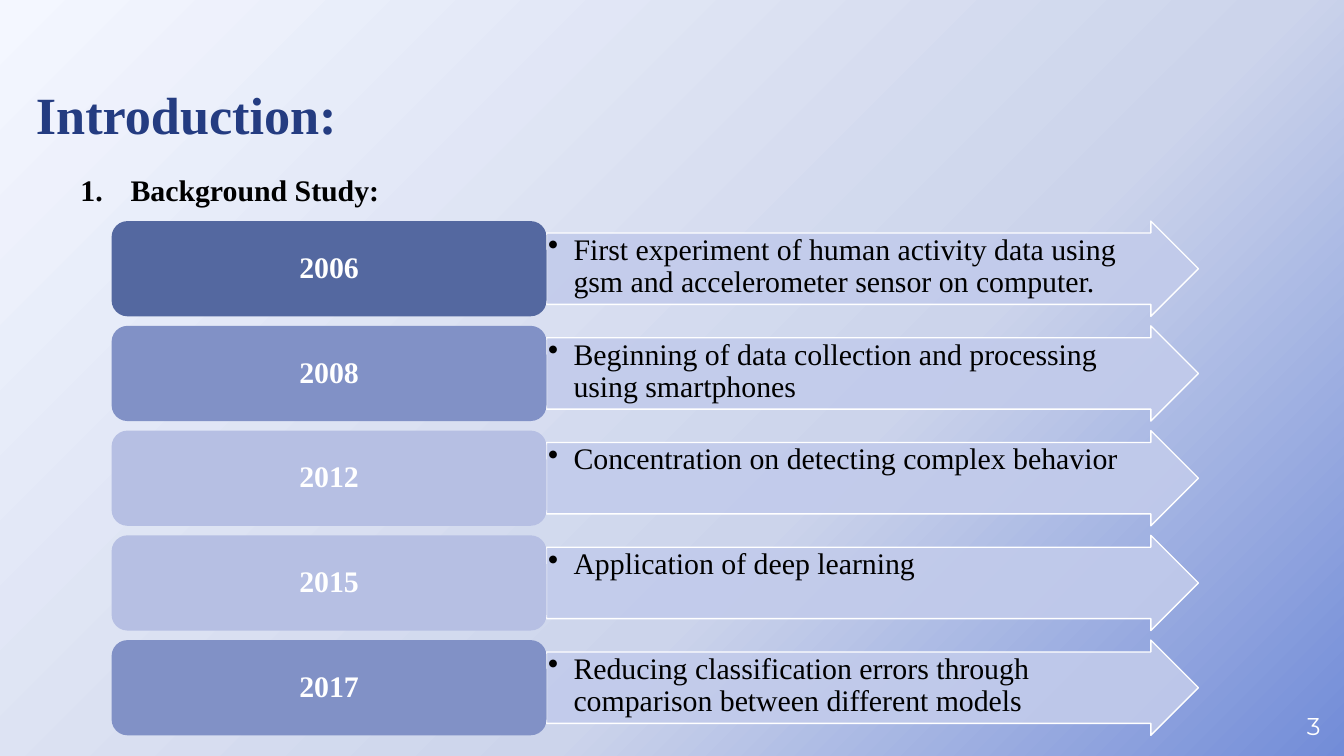
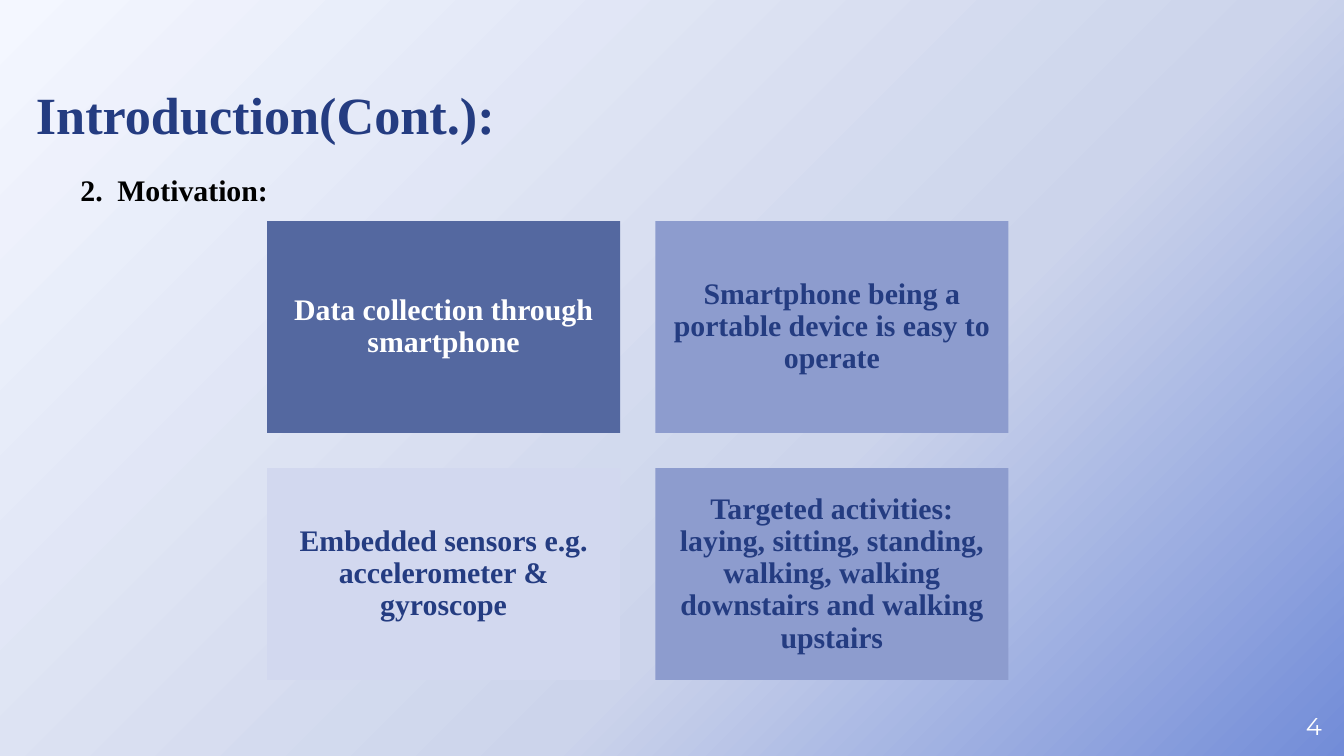
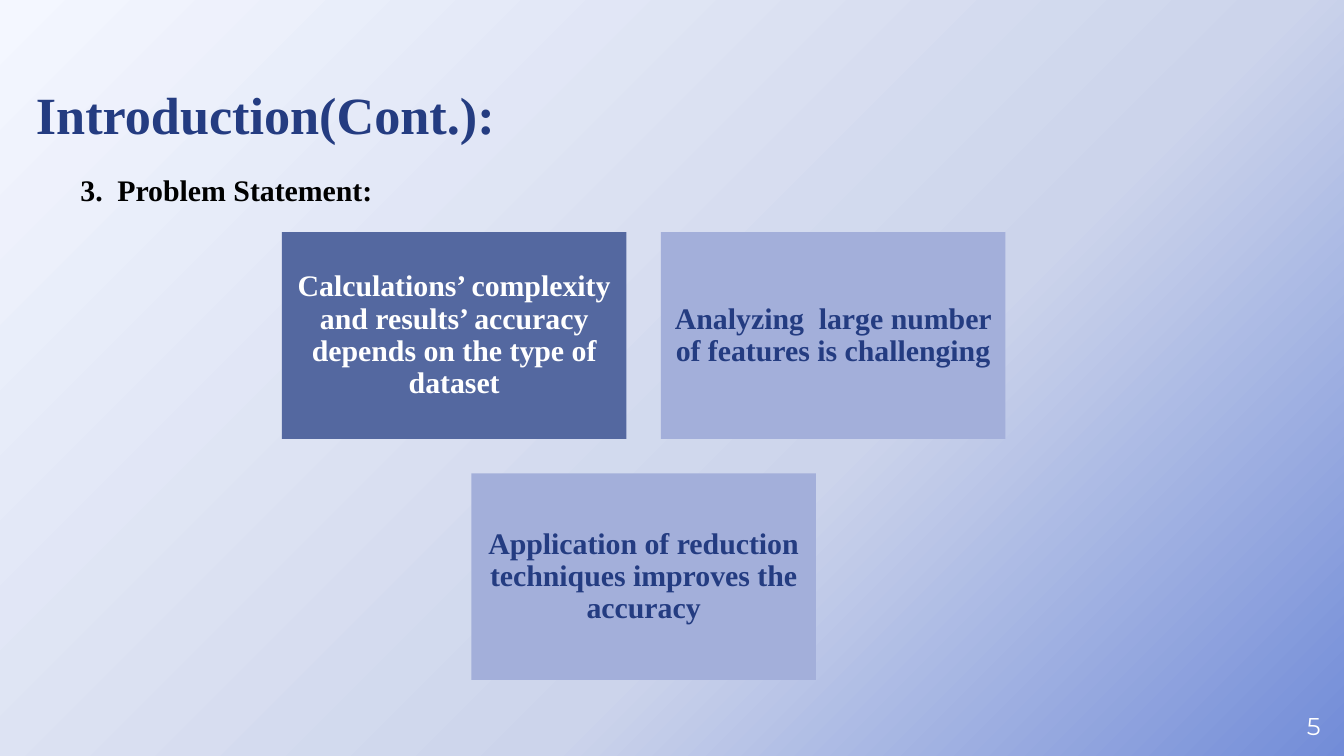
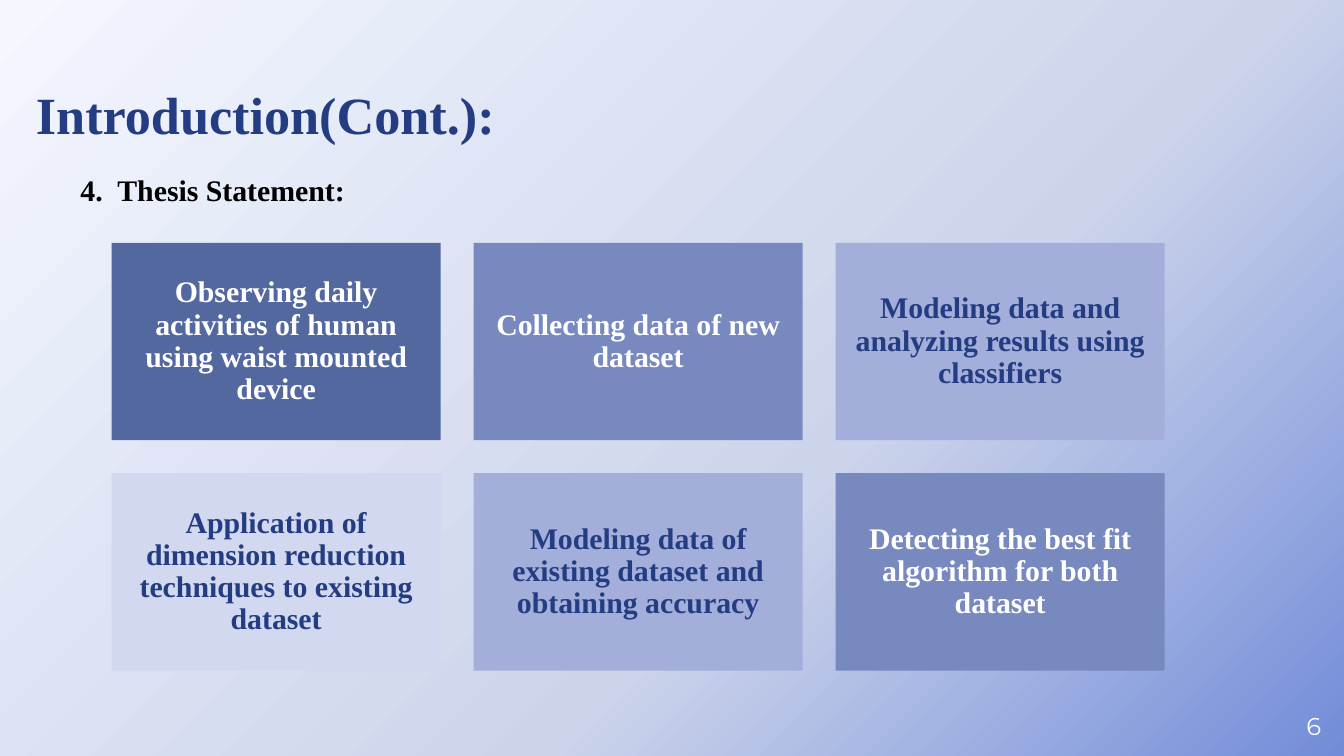
from lxml import etree
from pptx import Presentation
from pptx.dml.color import RGBColor
from pptx.enum import shapes, text
from pptx.oxml import parse_xml
from pptx.oxml import ns
from pptx.util import Cm, Pt

SERIF = "Times New Roman"
NAVY, SLATE, WHITE, BLACK = "243C81", "5468A0", "FFFFFF", "000000"
BLUE, PERIWINKLE, STEEL = "7889C0", "8D9CCE", "8191C6"
LAVENDER, MIST, PALE, ARROW = "A3AFDA", "B6BFE3", "D2D8EF", "C2CBEB"
BACKGROUND_STOPS = [(0, "F4F7FF"), (62, "CCD4EB"), (100, "728CD8")]

INTRODUCTION = "Introduction:"
CONTINUED = "Introduction(Cont.):"

TIMELINE = [
    ("2006", SLATE, "First experiment of human activity data using gsm and accelerometer sensor on computer."),
    ("2008", STEEL, "Beginning of data collection and processing using smartphones"),
    ("2012", MIST, "Concentration on detecting complex behavior"),
    ("2015", MIST, "Application of deep learning"),
    ("2017", STEEL, "Reducing classification errors through comparison between different models"),
]

# Each grid: heading, left, top and card width in cm, then rows of (text, fill, text colour)
CARD_GRIDS = [
    ("Motivation:", 5.05, 4.18, 6.67, [
        [("Data collection through smartphone", SLATE, WHITE),
         ("Smartphone being a portable device is easy to operate", PERIWINKLE, NAVY)],
        [("Embedded sensors e.g. accelerometer & gyroscope", PALE, NAVY),
         ("Targeted activities: laying, sitting, standing, walking, walking downstairs "
          "and walking upstairs", PERIWINKLE, NAVY)],
    ]),
    ("Problem Statement:", 5.33, 4.39, 6.51, [
        [("Calculations’ complexity and results’ accuracy depends on the type of dataset", SLATE, WHITE),
         ("Analyzing  large number of features is challenging", LAVENDER, NAVY)],
        [("Application of reduction techniques improves the accuracy", LAVENDER, NAVY)],
    ]),
    ("Thesis Statement:", 2.11, 4.59, 6.22, [
        [("Observing daily activities of human using waist mounted device", SLATE, WHITE),
         ("Collecting data of new dataset", BLUE, WHITE),
         ("Modeling data and analyzing results using classifiers", LAVENDER, NAVY)],
        [("Application of dimension reduction techniques to existing dataset", PALE, NAVY),
         ("Modeling data of existing dataset and obtaining accuracy", LAVENDER, NAVY),
         ("Detecting the best fit algorithm for both dataset", BLUE, WHITE)],
    ]),
]


def write(shape, words, color, size=16, bold=True, font=SERIF, centred=False,
          margins=(0.25, 0.13), spacing=None, indent=0, bullet=None):
    """Set the only paragraph of a shape; bullet is (element name, attributes)."""
    frame = shape.text_frame
    frame.word_wrap = True
    frame.margin_left = frame.margin_right = Cm(margins[0])
    frame.margin_top = frame.margin_bottom = Cm(margins[1])
    frame.vertical_anchor = text.MSO_ANCHOR.MIDDLE if centred else text.MSO_ANCHOR.TOP
    paragraph = frame.paragraphs[0]
    paragraph.alignment = text.PP_ALIGN.CENTER if centred else text.PP_ALIGN.LEFT
    if spacing:
        paragraph.line_spacing = spacing
    if bullet:
        properties = paragraph._p.get_or_add_pPr()
        properties.set("marL", str(Cm(indent)))
        properties.set("indent", str(-Cm(indent)))
        bullet_color = etree.SubElement(properties, ns.qn("a:buClr"))
        etree.SubElement(bullet_color, ns.qn("a:srgbClr"), val=color)
        etree.SubElement(properties, ns.qn(bullet[0]), bullet[1])
    run = paragraph.add_run()
    run.text = words
    run.font.name = font
    run.font.size = Pt(size)
    run.font.bold = bold
    run.font.color.rgb = RGBColor.from_string(color)


def add_panel(slide, kind, left, top, width, height, fill):
    """Add a flat shape, measured in cm, without outline or shadow."""
    panel = slide.shapes.add_shape(kind, Cm(left), Cm(top), Cm(width), Cm(height))
    panel.shadow.inherit = False
    panel.fill.solid()
    panel.fill.fore_color.rgb = RGBColor.from_string(fill)
    panel.line.fill.background()
    return panel


presentation = Presentation()
presentation.slide_width = Cm(25.4)
presentation.slide_height = Cm(14.29)

# Background gradient, shared through the master
master = presentation.slide_master
master.background.fill.solid()
solid_fill = master.element.find(".//" + ns.qn("p:bgPr")).find(ns.qn("a:solidFill"))
stops = "".join(
    f'<a:gs pos="{position * 1000}"><a:srgbClr val="{color}"/></a:gs>'
    for position, color in BACKGROUND_STOPS)
solid_fill.getparent().replace(solid_fill, parse_xml(
    f'<a:gradFill {ns.nsdecls("a")} rotWithShape="1"><a:gsLst>{stops}</a:gsLst>'
    '<a:path path="circle"><a:fillToRect r="100000" b="100000"/></a:path></a:gradFill>'))

# Page number, title and numbered heading of every slide
headings = ["Background Study:"] + [grid[0] for grid in CARD_GRIDS]
slides = []
for number, heading in enumerate(headings, start=1):
    slide = presentation.slides.add_slide(presentation.slide_layouts[6])
    slides.append(slide)
    page_number = slide.shapes.add_textbox(Cm(24.26), Cm(13.15), Cm(1.14), Cm(1.14))
    write(page_number, str(number + 2), WHITE, size=13, bold=False, font="Montserrat",
          centred=True, margins=(0, 0))
    title = slide.shapes.add_textbox(Cm(0.43), Cm(1.42), Cm(14), Cm(1.45))
    write(title, INTRODUCTION if number == 1 else CONTINUED, NAVY, size=28)
    section = slide.shapes.add_textbox(Cm(1.27), Cm(3.12), Cm(19.69), Cm(1.55))
    write(section, heading, BLACK, indent=0.95 if number == 1 else 0.7,
          bullet=("a:buAutoNum", {"type": "arabicPeriod", "startAt": str(number)}))

# Timeline: a year and an arrow in each row
year_left, year_width, row_height, row_pitch = 2.11, 8.22, 1.8, 1.98
for row, (year, fill, event) in enumerate(TIMELINE):
    top = 4.18 + row * row_pitch
    arrow = add_panel(slides[0], shapes.MSO_SHAPE.RIGHT_ARROW,
                      year_left + year_width, top, 12.32, row_height, ARROW)
    arrow.adjustments[0] = 0.75
    arrow.adjustments[1] = 0.5
    arrow_color = arrow.fill._xPr.find(".//" + ns.qn("a:srgbClr"))
    etree.SubElement(arrow_color, ns.qn("a:alpha"), val="90000")
    arrow.line.color.rgb = RGBColor.from_string(WHITE)
    arrow.line.width = Pt(0.75)
    write(arrow, event, BLACK, bold=False, margins=(0.03, 0.03), spacing=0.9,
          indent=0.48, bullet=("a:buChar", {"char": "•"}))
    year_box = add_panel(slides[0], shapes.MSO_SHAPE.ROUNDED_RECTANGLE,
                         year_left, top, year_width, row_height, fill)
    write(year_box, year, WHITE, centred=True, margins=(0.18, 0.08), spacing=0.9)

# Card grids: height is 60 % and gap 10 % of the card width, short rows are centred
for slide, (heading, left, top, width, rows) in zip(slides[1:], CARD_GRIDS):
    height, gap = 0.6 * width, 0.1 * width
    for row, cards in enumerate(rows):
        row_left = left + (len(rows[0]) - len(cards)) * (width + gap) / 2
        for column, (words, fill, color) in enumerate(cards):
            card = add_panel(slide, shapes.MSO_SHAPE.RECTANGLE,
                             row_left + column * (width + gap),
                             top + row * (height + gap), width, height, fill)
            write(card, words, color, centred=True, margins=(0.18, 0.18), spacing=0.9)

presentation.save("out.pptx")
